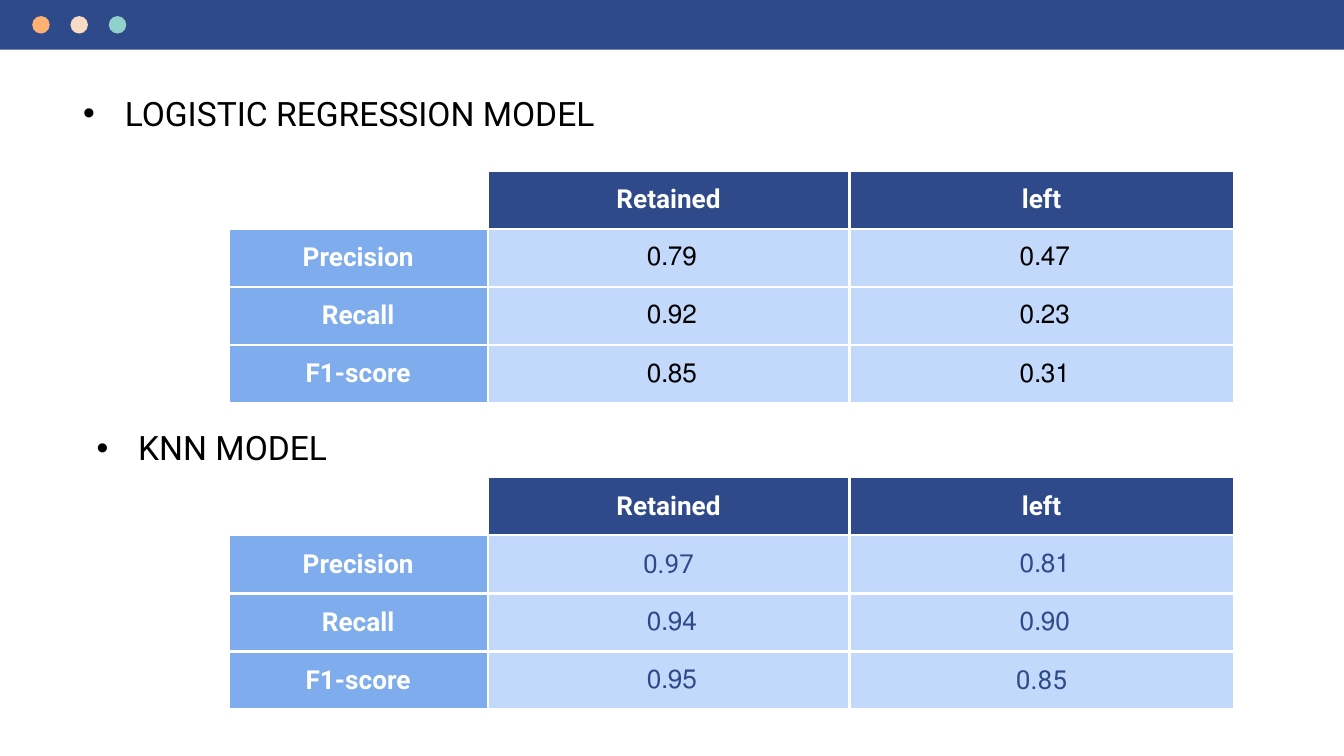
from dataclasses import dataclass

from lxml import etree
from pptx import Presentation
from pptx.dml.color import RGBColor
from pptx.enum.shapes import MSO_SHAPE
from pptx.enum.text import MSO_ANCHOR, MSO_AUTO_SIZE, PP_ALIGN
from pptx.oxml.ns import qn
from pptx.util import Inches, Pt

RECTANGLE, OVAL = MSO_SHAPE.RECTANGLE, MSO_SHAPE.OVAL
MIDDLE, CENTER = MSO_ANCHOR.MIDDLE, PP_ALIGN.CENTER
GROW = MSO_AUTO_SIZE.SHAPE_TO_FIT_TEXT


@dataclass(frozen=True)
class Theme:
    font: str = "Roboto"
    heading_size: int = 18
    cell_size: int = 14
    border_width: float = 1.5
    navy: str = "2F4A8A"
    blue: str = "7EACEC"
    pale: str = "C3D9FB"
    white: str = "FFFFFF"
    black: str = "000000"
    dots: tuple = ("FFB172", "F8DBC4", "90D1CB")


def write(para, text, font, size, color, bold=False):
    span = para.add_run()
    span.text = text
    span.font.name = font
    span.font.size = Pt(size)
    span.font.bold = bold
    span.font.color.rgb = RGBColor.from_string(color)


def add_color(parent, color):
    etree.SubElement(parent, qn("a:srgbClr"), val=color)


class SlideBuilder:
    """Draws styled elements on the current slide."""

    def __init__(self, page, theme):
        self.page = page
        self.theme = theme

    def shape(self, kind, left, top, width, height, color):
        shape = self.page.shapes.add_shape(
            kind, Inches(left), Inches(top), Inches(width), Inches(height))
        shape.shadow.inherit = False
        shape.fill.solid()
        shape.fill.fore_color.rgb = RGBColor.from_string(color)
        shape.line.fill.background()

    def heading(self, text, left, top, width):
        theme = self.theme
        box = self.page.shapes.add_textbox(
            Inches(left), Inches(top), Inches(width), Inches(0.4))
        box.text_frame.word_wrap = True
        box.text_frame.auto_size = GROW
        para = box.text_frame.paragraphs[0]
        write(para, text, theme.font, theme.heading_size, theme.black)
        properties = para._p.get_or_add_pPr()
        properties.set("marL", str(Inches(0.31)))
        properties.set("indent", str(Inches(-0.31)))
        add_color(etree.SubElement(properties, qn("a:buClr")), theme.black)
        etree.SubElement(properties, qn("a:buFont"), typeface="Arial")
        etree.SubElement(properties, qn("a:buChar"), char="•")

    def borders(self, cell):
        properties = cell._tc.get_or_add_tcPr()
        for index, side in enumerate(("lnL", "lnR", "lnT", "lnB")):
            line = etree.Element(
                qn(f"a:{side}"), w=str(Pt(self.theme.border_width)))
            add_color(etree.SubElement(line, qn("a:solidFill")), self.theme.white)
            properties.insert(index, line)

    def cell(self, cell, text, fill, color, bold):
        theme = self.theme
        cell.fill.solid()
        cell.fill.fore_color.rgb = RGBColor.from_string(fill)
        cell.vertical_anchor = MIDDLE
        cell.margin_left = cell.margin_right = Inches(0.1)
        cell.margin_top = cell.margin_bottom = Inches(0.1)
        para = cell.text_frame.paragraphs[0]
        para.alignment = CENTER
        if text.endswith(" "):
            para._p.get_or_add_pPr().set("rtl", "1")
        write(para, text, theme.font, theme.cell_size, color, bold)

    def score_table(self, top, scores, score_color):
        theme = self.theme
        rows = [("", "Retained", "left")]
        rows += [(name, *pair) for name, pair in
                 zip(("Precision", "Recall", "F1-score"), scores)]
        widths = (1.93, 2.69, 2.86)
        table = self.page.shapes.add_table(
            len(rows), len(widths), Inches(1.7), Inches(top),
            Inches(sum(widths)), Inches(1.73)).table
        table.first_row = table.horz_banding = False
        for column, width in zip(table.columns, widths):
            column.width = Inches(width)
        for row_index, values in enumerate(rows):
            for column_index, text in enumerate(values):
                cell = table.cell(row_index, column_index)
                if not text:
                    cell.fill.background()
                elif row_index == 0:
                    self.cell(cell, text, theme.navy, theme.white, True)
                elif column_index == 0:
                    self.cell(cell, text, theme.blue, theme.white, True)
                else:
                    self.cell(cell, text, theme.pale, score_color, False)
                self.borders(cell)


def main():
    theme = Theme()
    deck = Presentation()
    deck.slide_width = Inches(10)
    deck.slide_height = deck.slide_width * 9 // 16
    builder = SlideBuilder(deck.slides.add_slide(deck.slide_layouts[6]), theme)

    builder.shape(RECTANGLE, 0, 0, 10, 0.37, theme.navy)
    for index, color in enumerate(theme.dots):
        builder.shape(OVAL, 0.24 + index * 0.57 / 2, 0.12, 0.13, 0.13, color)

    knn = (("0.97", "0.81 "), ("0.94 ", "0.90 "), ("0.95 ", "0.85"))
    logistic = (("0.79 ", "0.47 "), ("0.92 ", "0.23 "), ("0.85 ", "0.31 "))
    builder.score_table(3.55, knn, theme.navy)
    builder.score_table(1.27, logistic, theme.black)
    builder.heading("LOGISTIC REGRESSION MODEL", 0.52, 0.64, 4.48)
    builder.heading("KNN MODEL", 0.62, 3.13, 2.86)
    deck.save("out.pptx")


if __name__ == "__main__":
    main()
